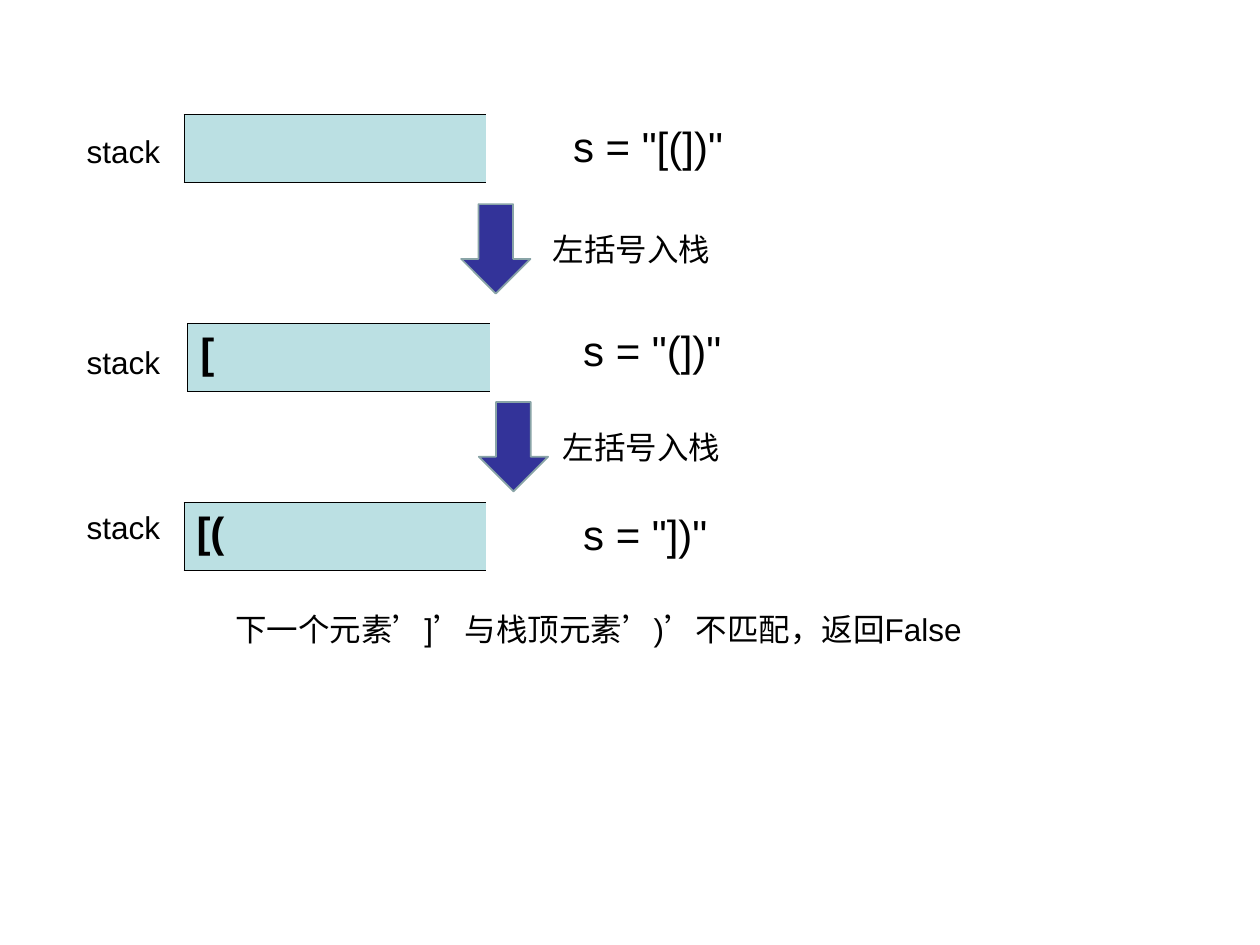
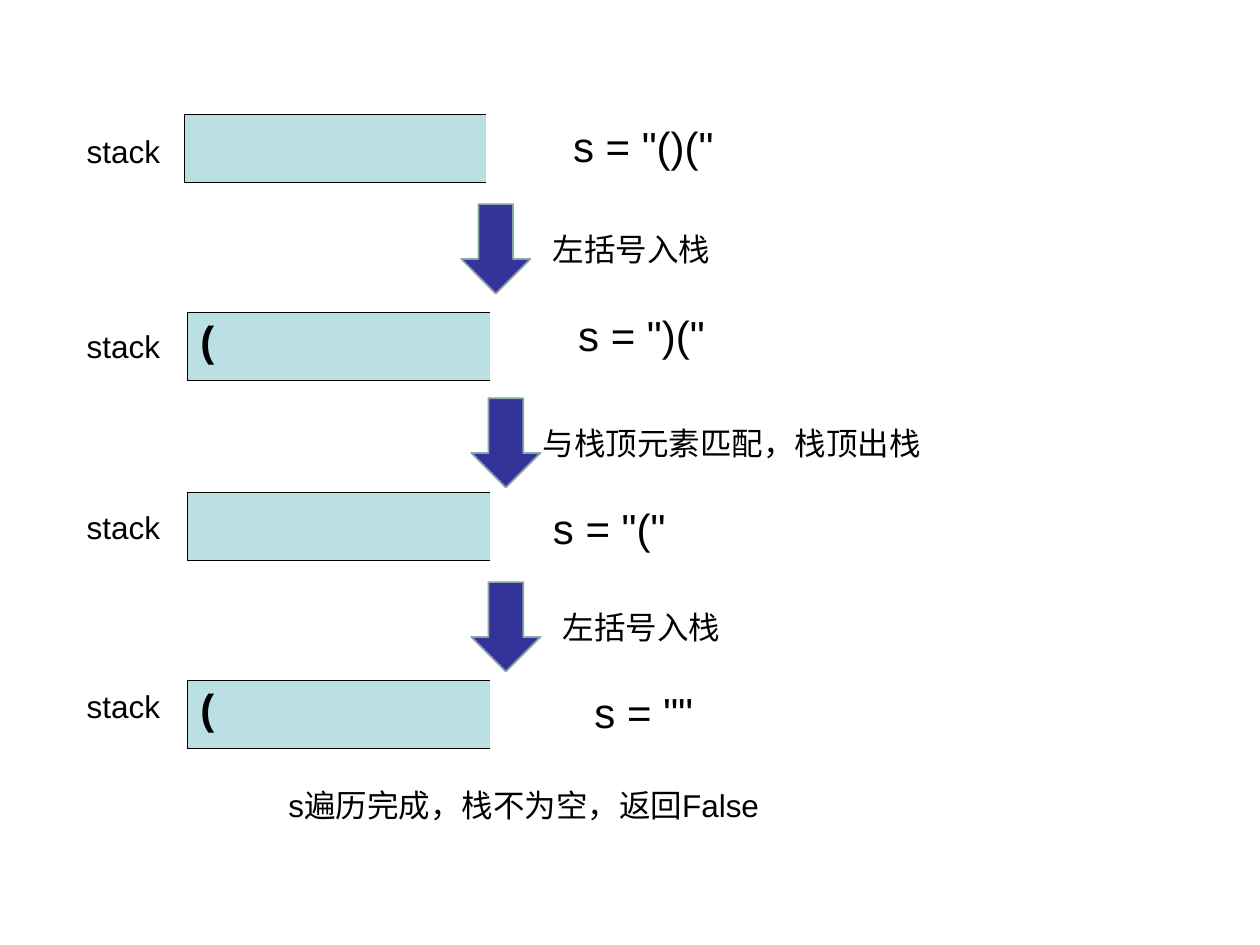
from lxml import etree
from pptx import Presentation
from pptx import util as u
from pptx.dml.color import RGBColor
from pptx.enum import lang, shapes
from pptx.oxml.ns import qn

COLOURS = {"ink": "000000", "stack": "BBE0E3", "arrow": "333399", "edge": "89A4A7"}
FONT = "Arial"
UNIT = u.Inches(0.1)  # the slide is a grid of 100 columns and 75 rows
COLUMNS, ROWS = 100, 75
LABEL_LEFT = 5.9
STACK_WIDTH, STACK_HEIGHT = 24, 5.4
ARROW_WIDTH, ARROW_HEIGHT = 5.5, 7.1

# States: left, top, content, label drop, expression, expression shift and drop
# Steps: left, top, caption, caption shift.  Result: left, top, width, wording
TRACES = [
    {
        "states": [
            (14.6, 9.1, "", 0.9, 's = "[(])"', 29.9, 0),
            (14.9, 25.7, "[", 1, 's = "(])"', 30.4, -0.4),
            (14.6, 39.9, "[(", -0.1, 's = "])"', 30.7, 0),
        ],
        "steps": [
            (36.6, 16.2, "左括号入栈", 6.3),
            (38, 31.9, "左括号入栈", 5.7),
        ],
        "result": (17.7, 47.9, 62.9, "下一个元素’]’与栈顶元素’)’不匹配，返回False"),
    },
    {
        "states": [
            (14.6, 9.1, "", 0.9, 's = "()("', 29.9, 0),
            (14.9, 24.8, "(", 0.7, 's = ")("', 30, -0.7),
            (14.9, 39.1, "", 0.7, 's = "("', 28, 0.3),
            (14.9, 54, "(", 0, 's = ""', 31.3, 0),
        ],
        "steps": [
            (36.6, 16.2, "左括号入栈", 6.3),
            (37.4, 31.6, "与栈顶元素匹配，栈顶出栈", 4.7),
            (37.4, 46.2, "左括号入栈", 6.3),
        ],
        "result": (21.9, 61.9, 54.3, "s遍历完成，栈不为空，返回False"),
    },
]


def colour(name):
    return RGBColor.from_string(COLOURS[name])


def grid(*lengths):
    return [int(length * UNIT) for length in lengths]


def write(frame, wording, size, bold=False):
    para = frame.paragraphs[0]
    para.text = wording
    para.font.name = FONT
    para.font.size = u.Pt(size)
    para.font.bold = bold
    para.font.color.rgb = colour("ink")
    for span in para.runs:
        span.font.language_id = lang.MSO_LANGUAGE_ID.SIMPLIFIED_CHINESE


def add_text(page, box, wording, size=18):
    frame = page.shapes.add_textbox(*grid(*box)).text_frame
    frame.word_wrap = True
    write(frame, wording, size)


def open_right_side(cell):
    """Rule the left, top and bottom of a cell and leave its right side open."""
    properties = cell._tc.get_or_add_tcPr()
    for position, side in enumerate(("lnL", "lnR", "lnT", "lnB")):
        border = etree.Element(qn(f"a:{side}"), w=str(u.Pt(0.45)))
        if side == "lnR":
            etree.SubElement(border, qn("a:noFill"))
        else:
            fill = etree.SubElement(border, qn("a:solidFill"))
            etree.SubElement(fill, qn("a:srgbClr"), val=COLOURS["ink"])
        properties.insert(position, border)


def draw_stack(page, box, content):
    table = page.shapes.add_table(1, 1, *grid(*box)).table
    table.first_row = table.horz_banding = False
    cell = table.cell(0, 0)
    cell.fill.solid()
    cell.fill.fore_color.rgb = colour("stack")
    open_right_side(cell)
    if content:
        write(cell.text_frame, content, 24, bold=True)


def draw_state(page, left, top, content, label_drop, expression, shift, drop):
    draw_stack(page, (left, top, STACK_WIDTH, STACK_HEIGHT), content)
    add_text(page, (LABEL_LEFT, top + label_drop, 9, 4), "stack")
    add_text(page, (left + shift, top + drop, 39, 4.9), expression, 24)


def draw_step(page, left, top, caption, shift):
    arrow = page.shapes.add_shape(
        shapes.MSO_SHAPE.DOWN_ARROW, *grid(left, top, ARROW_WIDTH, ARROW_HEIGHT))
    arrow.shadow.inherit = False
    arrow.fill.solid()
    arrow.fill.fore_color.rgb = colour("arrow")
    arrow.line.color.rgb = colour("edge")
    arrow.line.width = u.Pt(1)
    add_text(page, (left + shift, top + 1.6, 40, 4), caption)


def draw_trace(page, trace):
    for state in trace["states"]:
        draw_state(page, *state)
    for step in trace["steps"]:
        draw_step(page, *step)
    left, top, width, wording = trace["result"]
    add_text(page, (left, top, width, 4), wording)


def main():
    deck = Presentation()
    deck.slide_width, deck.slide_height = grid(COLUMNS, ROWS)
    blank = deck.slide_layouts[6]
    for trace in TRACES:
        draw_trace(deck.slides.add_slide(blank), trace)
    deck.save("out.pptx")


if __name__ == "__main__":
    main()
